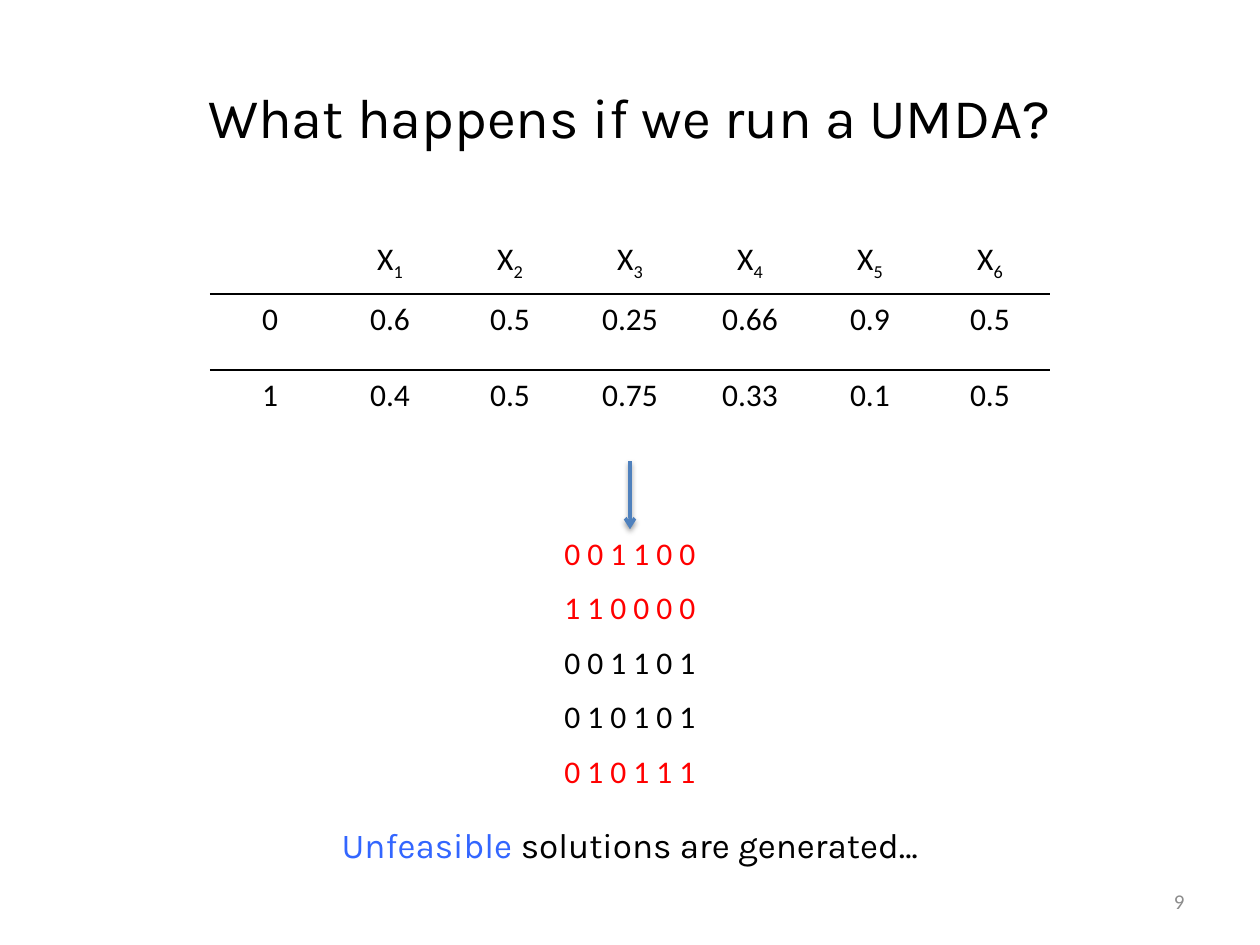
from dataclasses import dataclass
from lxml.etree import SubElement
from pptx import Presentation
from pptx.dml.color import RGBColor
from pptx.enum.shapes import MSO_CONNECTOR
from pptx.enum.text import MSO_ANCHOR, PP_ALIGN
from pptx.oxml.ns import qn
from pptx.util import Inches, Pt


@dataclass(frozen=True)
class Theme:
    heading: str = "Karla"
    body: str = "Calibri"
    ink: str = "000000"
    muted: str = "8C8C8C"
    accent: str = "3366FF"
    unfeasible: str = "FF0000"
    arrow: str = "4F81BD"
    title_size: int = 32
    caption_size: int = 20
    table_size: int = 18
    number_size: int = 12


@dataclass(frozen=True)
class Box:
    col: float
    row: float
    cols: float
    rows: float

    def emu(self):
        return (self.col * COL, self.row * ROW, self.cols * COL, self.rows * ROW)


T = Theme()
WIDTH, HEIGHT = Inches(10), Inches(7.5)
COL, ROW = WIDTH // 60, HEIGHT // 75
NO_STYLE = "{2D5ABB26-0587-4C30-8999-92F81FD0307C}"
PROBABILITIES = [
    ["0", "0.6", "0.5", "0.25", "0.66", "0.9", "0.5"],
    ["1", "0.4", "0.5", "0.75", "0.33", "0.1", "0.5"],
]
SOLUTIONS = [
    ("0 0 1 1 0 0", False),
    ("1 1 0 0 0 0", False),
    ("0 0 1 1 0 1", True),
    ("0 1 0 1 0 1", True),
    ("0 1 0 1 1 1", False),
]


def add_run(p, text, font, size, color, baseline=None):
    r = p.add_run()
    r.text = text
    r.font.name = font
    r.font.size = Pt(size)
    r.font.color.rgb = RGBColor.from_string(color)
    if baseline:
        r.font._element.set("baseline", str(baseline * 1000))


def add_text(s, box, runs, font, size, align=PP_ALIGN.CENTER):
    tf = s.shapes.add_textbox(*map(int, box.emu())).text_frame
    tf.word_wrap = True
    tf.vertical_anchor = MSO_ANCHOR.MIDDLE
    p = tf.paragraphs[0]
    p.alignment = align
    for text, color in runs:
        add_run(p, text, font, size, color)


def add_plain_table(s, box, heights, columns):
    frame = s.shapes.add_table(len(heights), columns, *map(int, box.emu()))
    table = frame.table
    table.first_row = table.horz_banding = False
    table._tbl.tblPr.find(qn("a:tableStyleId")).text = NO_STYLE
    for column in table.columns:
        column.width = int(box.cols * COL / columns)
    for row, height in zip(table.rows, heights):
        row.height = int(height * ROW)
    for cell in table.iter_cells():
        cell.fill.background()
        cell.text_frame.paragraphs[0].alignment = PP_ALIGN.CENTER
    return table


def cell_run(cell, text, color=T.ink, baseline=None):
    add_run(cell.text_frame.paragraphs[0], text, T.body, T.table_size, color, baseline)


def add_border(cell, side):
    tcPr = cell._tc.get_or_add_tcPr()
    ln = tcPr.makeelement(qn(f"a:{side}"), {"w": str(Pt(1))})
    fill = SubElement(ln, qn("a:solidFill"))
    SubElement(fill, qn("a:srgbClr"), val=T.ink)
    tcPr.insert(0, ln)


def probability_table(s, box):
    table = add_plain_table(s, box, [4.75, 6, 6], 7)
    for i in range(7):
        header, zero, one = (table.cell(row, i) for row in range(3))
        if i:
            cell_run(header, "X")
            cell_run(header, str(i), baseline=-25)
        for cell, values in zip((zero, one), PROBABILITIES):
            cell_run(cell, values[i])
        add_border(header, "lnB")
        add_border(zero, "lnB")
        add_border(zero, "lnT")


def solution_table(s, box):
    count = len(SOLUTIONS)
    table = add_plain_table(s, box, [box.rows / count] * count, 1)
    for i, (bits, feasible) in enumerate(SOLUTIONS):
        cell_run(table.cell(i, 0), bits, T.ink if feasible else T.unfeasible)


def sampling_arrow(s, box):
    x, y, w, h = map(int, box.emu())
    line = s.shapes.add_connector(MSO_CONNECTOR.STRAIGHT, x, y, x + w, y + h)
    line.line.color.rgb = RGBColor.from_string(T.arrow)
    line.line.width = Pt(2)
    SubElement(line.line._get_or_add_ln(), qn("a:tailEnd"), type="arrow")
    effects = SubElement(line._element.spPr, qn("a:effectLst"))
    shadow = SubElement(effects, qn("a:outerShdw"), blurRad=str(Pt(3.1)),
                        dist=str(Pt(1.6)), dir="5400000", rotWithShape="0")
    color = SubElement(shadow, qn("a:srgbClr"), val=T.ink)
    SubElement(color, qn("a:alpha"), val="38000")


def main():
    prs = Presentation()
    prs.slide_width, prs.slide_height = WIDTH, HEIGHT
    s = prs.slides.add_slide(prs.slide_layouts[6])
    add_text(s, Box(3, 3, 54, 12.5), [("What happens if we run a UMDA?", T.ink)],
             T.heading, T.title_size)
    add_text(s, Box(43, 69.5, 14, 4), [("9", T.muted)],
             T.body, T.number_size, PP_ALIGN.RIGHT)
    add_text(s, Box(3, 64.5, 54, 5),
             [("Unfeasible ", T.accent), ("solutions are generated…", T.ink)],
             T.heading, T.caption_size)
    probability_table(s, Box(10, 18.6, 40, 16.75))
    solution_table(s, Box(24.36, 42, 11.28, 21.6))
    sampling_arrow(s, Box(30, 36.6, 0, 5.4))
    prs.save("out.pptx")


if __name__ == "__main__":
    main()
